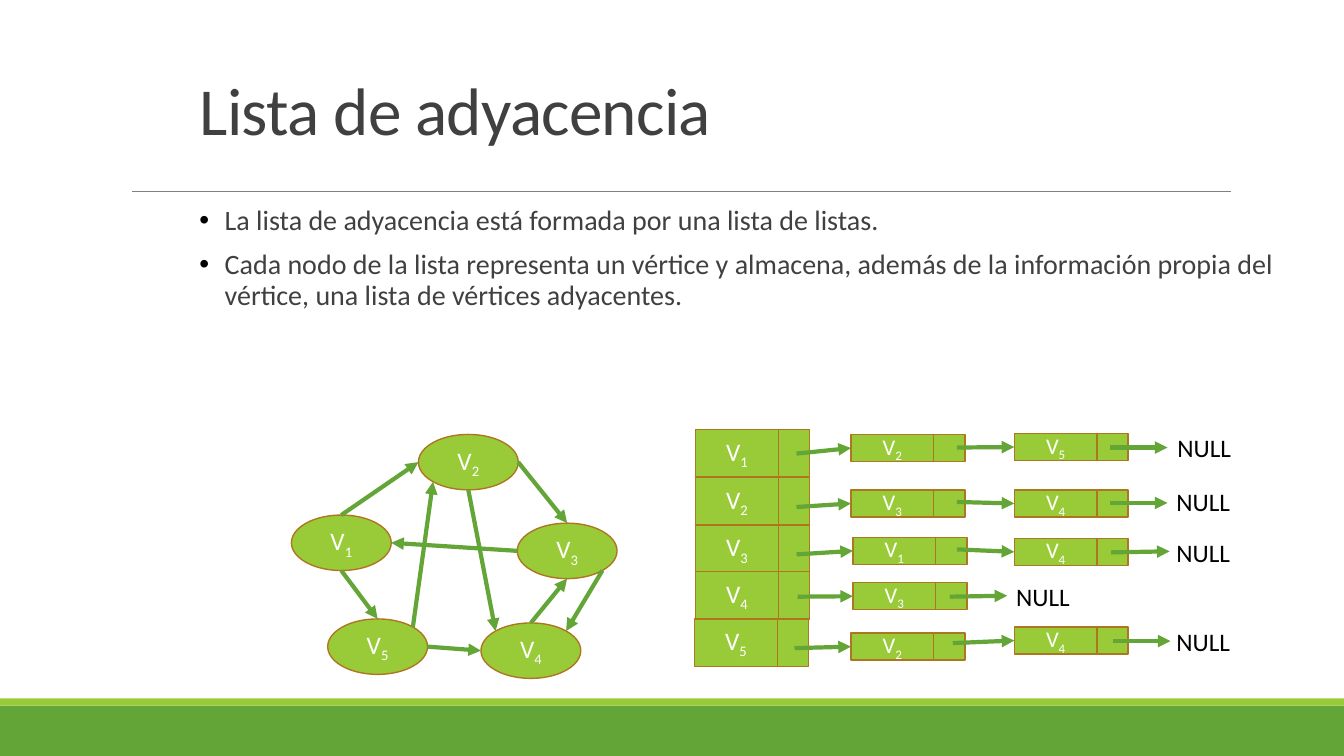
import math
from lxml import etree
from pptx import Presentation
from pptx import util as u
from pptx.dml import color
from pptx.enum import shapes, text
from pptx.oxml import ns

HEX = {"lime": "99CB38", "green": "63A537", "brown": "AF7621", "grey": "808080",
       "dark": "404040", "white": "FFFFFF", "black": "000000"}
TITLE = "Lista de adyacencia"
POINTS = [
    "La lista de adyacencia está formada por una lista de listas.",
    "Cada nodo de la lista representa un vértice y almacena, además de la "
    "información propia del vértice, una lista de vértices adyacentes.",
]
NODES = {3: (5.13, 5.19), 1: (2.89, 5.11), 2: (4.15, 4.31), 4: (4.77, 6.18), 5: (3.25, 6.14)}
ANGLES = {"e": 0, "se": 45, "s": 90, "sw": 135, "w": 180, "nw": 225, "n": 270, "ne": 315}
EDGES = [
    (1, "n", 2, "w"), (2, "e", 3, "n"), (4, "n", 3, "s"),
    (3, "se", 4, "ne"), (2, "s", 4, "nw"), (5, "e", 4, "w"),
    (5, "ne", 2, "sw"), (1, "s", 5, "n"), (3, "w", 1, "e"),
]
LISTS = [
    {"head": (1, 6.9, 4.26), "cells": [(2, 8.44, 4.31), (5, 10.06, 4.3)],
     "tails": [(7.9, 4.5), (9.49, 4.44), (11.01, 4.44)], "tip": (11.58, 4.44), "null": (11.58, 4.24)},
    {"head": (2, 6.9, 4.74), "cells": [(3, 8.44, 4.86), (4, 10.06, 4.86)],
     "tails": [(7.9, 5.03), (9.49, 4.98), (11.01, 4.99)], "tip": (11.58, 4.99), "null": (11.57, 4.78)},
    {"head": (3, 6.9, 5.21), "cells": [(1, 8.46, 5.33), (4, 10.06, 5.34)],
     "tails": [(7.9, 5.5), (9.49, 5.45), (11.02, 5.48)], "tip": (11.6, 5.47), "null": (11.57, 5.28)},
    {"head": (4, 6.9, 5.67), "cells": [(3, 8.46, 5.78)],
     "tails": [(7.91, 5.92), (9.42, 5.92)], "tip": (9.99, 5.91), "null": (9.98, 5.72)},
    {"head": (5, 6.89, 6.14), "cells": [(2, 8.44, 6.28), (4, 10.06, 6.22)],
     "tails": [(7.88, 6.43), (9.45, 6.38), (11.04, 6.36)], "tip": (11.61, 6.36), "null": (11.57, 6.16)},
]
OVAL_W, OVAL_H = 0.99, 0.55
KEY_W, LINK_W, HEAD_H, CELL_H = 0.82, 0.31, 0.47, 0.27
RECT, OVAL = shapes.MSO_SHAPE.RECTANGLE, shapes.MSO_SHAPE.OVAL

deck = Presentation()
deck.slide_width, deck.slide_height = u.Inches(13.33), u.Inches(7.5)
slide = deck.slides.add_slide(deck.slide_layouts[5])


def rgb(name):
    return color.RGBColor.from_string(HEX[name])


def box(*sizes):
    return [u.Inches(size) for size in sizes]


def write(frame, words, size=18, tint="black", align="LEFT", anchor="TOP",
          lead=None, gap=0, bullet=False, track=None):
    frame.word_wrap = True
    frame.auto_size = text.MSO_AUTO_SIZE.NONE
    frame.vertical_anchor = getattr(text.MSO_ANCHOR, anchor)
    for num, line in enumerate(words if isinstance(words, list) else [words]):
        para = frame.add_paragraph() if num else frame.paragraphs[0]
        para.alignment = getattr(text.PP_ALIGN, align)
        para.line_spacing = lead
        para.space_before = u.Pt(gap if num else 0)
        if bullet:
            props = para._p.get_or_add_pPr()
            props.set("marL", str(u.Inches(0.25)))
            props.set("indent", str(u.Inches(-0.25)))
            paint = etree.SubElement(props, ns.qn("a:buClr"))
            etree.SubElement(paint, ns.qn("a:srgbClr"), val=HEX["black"])
            etree.SubElement(props, ns.qn("a:buFont"), typeface="Arial")
            etree.SubElement(props, ns.qn("a:buChar"), char="•")
        base, mark, sub = line.partition("_")
        for part in filter(None, (base, sub)):
            run = para.add_run()
            run.text = part
            run.font.name, run.font.size = "Calibri", u.Pt(size)
            run.font.color.rgb = rgb(tint)
            if mark and part is sub:
                run.font._element.set("baseline", "-25000")
            if track:
                run.font._element.set("spc", str(track))


def block(kind, *place, fill="lime", edge="brown", label=None, size=18):
    shape = slide.shapes.add_shape(kind, *box(*place))
    shape.shadow.inherit = False
    shape.fill.solid()
    shape.fill.fore_color.rgb = rgb(fill)
    if edge:
        shape.line.color.rgb, shape.line.width = rgb(edge), u.Pt(1)
    else:
        shape.line.fill.background()
    if label:
        write(shape.text_frame, label, size=size, tint="white", align="CENTER", anchor="MIDDLE")


def join(start, end, tint="green", width=3, arrow=True):
    line = slide.shapes.add_connector(shapes.MSO_CONNECTOR.STRAIGHT, *box(*start, *end))
    line.line.color.rgb, line.line.width = rgb(tint), u.Pt(width)
    if arrow:
        etree.SubElement(line.line._get_or_add_ln(), ns.qn("a:tailEnd"), type="triangle")
    etree.SubElement(line._element.spPr, ns.qn("a:effectLst"))


def rim(node, side):
    left, top = NODES[node]
    turn = math.radians(ANGLES[side])
    return (left + OVAL_W / 2 * (1 + math.cos(turn)), top + OVAL_H / 2 * (1 + math.sin(turn)))


def pair(num, left, top, high, size):
    block(RECT, left, top, KEY_W, high, label=f"V_{num}", size=size)
    block(RECT, left + KEY_W, top, LINK_W, high)


def note(words, *place, **style):
    write(slide.shapes.add_textbox(*box(*place)).text_frame, words, **style)


block(RECT, 0, 7, 13.33, 0.5, fill="green", edge=None)
block(RECT, 0, 6.93, 13.33, 0.07, edge=None)
join((1.31, 1.9), (12.21, 1.9), tint="grey", width=0.5, arrow=False)

title = slide.shapes.title
title.left, title.top, title.width, title.height = box(1.88, 0.4, 10.91, 1.45)
write(title.text_frame, TITLE, size=48, tint="dark", anchor="MIDDLE", lead=0.9, track=-50)
note(POINTS, 1.88, 2, 10.91, 4.76, size=20, tint="dark", lead=0.9, gap=10, bullet=True)

for num, spot in NODES.items():
    block(OVAL, *spot, OVAL_W, OVAL_H, label=f"V_{num}")
for start, out, end, into in EDGES:
    join(rim(start, out), rim(end, into))

for row in LISTS:
    pair(*row["head"], HEAD_H, 18)
    for cell in row["cells"]:
        pair(*cell, CELL_H, 16)
for row in LISTS:
    tips = [(left, top + CELL_H / 2) for num, left, top in row["cells"]] + [row["tip"]]
    for tail, tip in zip(row["tails"], tips):
        join(tail, tip)
    note("NULL", *row["null"], 0.76, 0.4)

deck.save("out.pptx")
